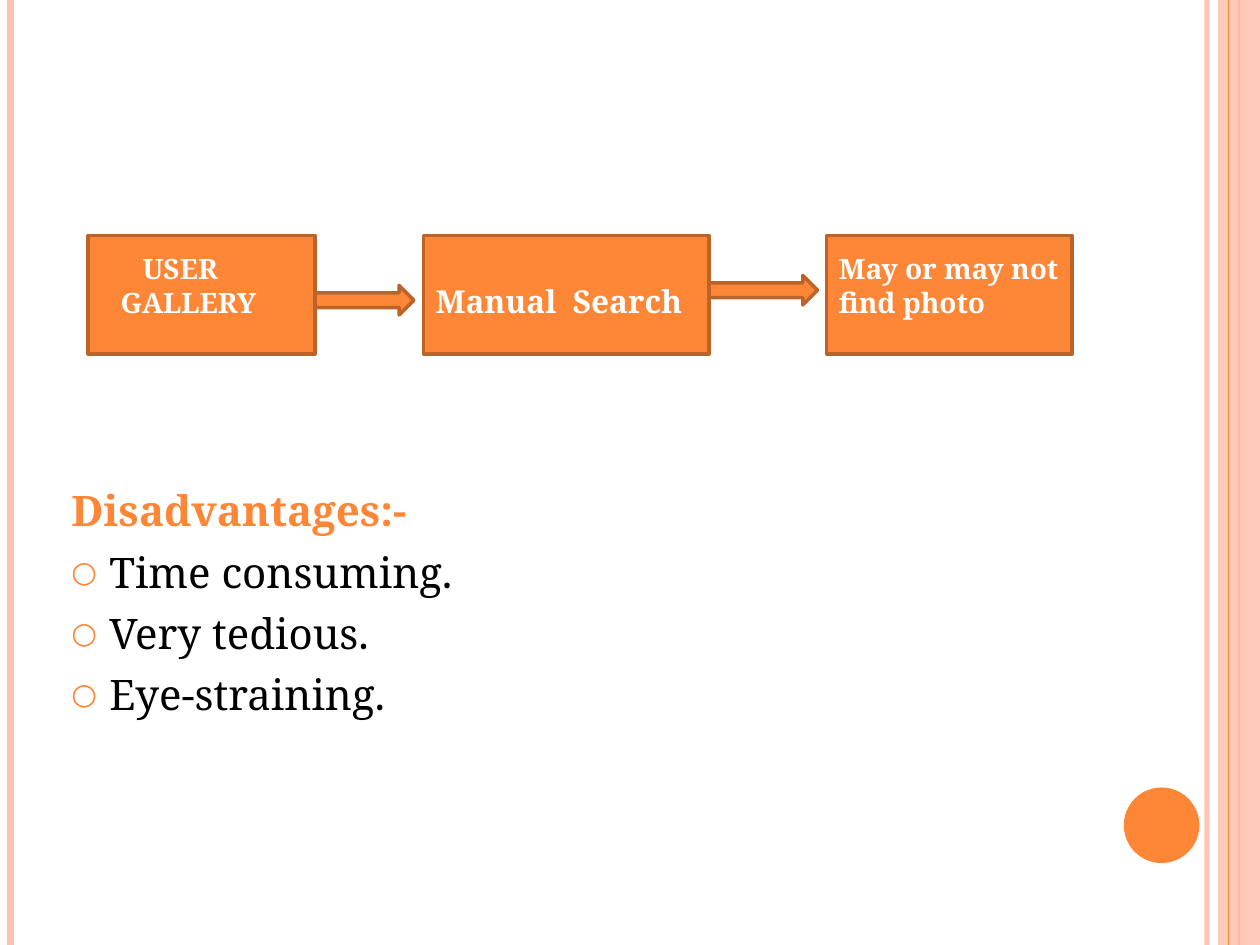
"""Builds a slide showing a manual photo search flow and its disadvantages."""
from lxml.etree import SubElement
from pptx import Presentation
from pptx.dml.color import RGBColor
from pptx.enum.shapes import MSO_CONNECTOR, MSO_SHAPE as SHAPE
from pptx.oxml.ns import qn
from pptx.util import Pt

COLORS = {"orange": "FE8637", "outline": "BC6329", "peach": "FEC3AE",
          "white": "FFFFFF", "black": "000000"}
FONT = "Noto Serif"


def rgb(name):
    return RGBColor.from_string(COLORS[name])


def set_opacity(properties, percent):
    color = next(properties.iter(qn("a:srgbClr")))
    SubElement(color, qn("a:alpha"), val=str(percent * 1000))


def add_stripe(slide, x, width, color, opacity=100):
    line = slide.shapes.add_connector(MSO_CONNECTOR.STRAIGHT, Pt(x), Pt(0), Pt(x), Pt(540))
    line.line.color.rgb = rgb(color)
    line.line.width = Pt(width)
    properties = line._element.spPr
    if opacity < 100:
        set_opacity(properties, opacity)
    SubElement(properties, qn("a:effectLst"))


def add_block(slide, kind, box, fill="orange", outline=None):
    shape = slide.shapes.add_shape(kind, *map(Pt, box))
    shape.shadow.inherit = False
    shape.fill.solid()
    shape.fill.fore_color.rgb = rgb(fill)
    if outline:
        shape.line.color.rgb = rgb(outline)
        shape.line.width = Pt(2)
    else:
        shape.line.fill.background()
    return shape


def add_text(slide, box, text):
    text_frame = slide.shapes.add_textbox(*map(Pt, box)).text_frame
    text_frame.word_wrap = True
    text_frame.text = text
    return text_frame


def format_runs(paragraph, size, color, bold):
    for run in paragraph.runs:
        run.font.name = FONT
        run.font.size = Pt(size)
        run.font.bold = bold
        run.font.color.rgb = rgb(color)


def set_indent(paragraph, margin, first_line):
    properties = paragraph._p.get_or_add_pPr()
    properties.set("marL", str(Pt(margin)))
    properties.set("indent", str(Pt(first_line)))
    return properties


def add_bullet(paragraph):
    properties = set_indent(paragraph, 21.6, -21.6)
    color = SubElement(properties, qn("a:buClr"))
    SubElement(color, qn("a:srgbClr"), val=COLORS["orange"])
    SubElement(properties, qn("a:buSzPct"), val="70000")
    SubElement(properties, qn("a:buFont"), typeface=FONT)
    SubElement(properties, qn("a:buChar"), char="○")


def add_frame(slide):
    add_stripe(slide, 689.8, 3, "peach", 93)
    add_stripe(slide, 6, 4.5, "peach")
    add_stripe(slide, 708, 1.5, "orange")
    band = add_block(slide, SHAPE.RECTANGLE, (696, 0, 24, 540), "peach")
    set_opacity(band._element.spPr, 87)
    add_stripe(slide, 702, 0.75, "orange")
    add_block(slide, SHAPE.OVAL, (642.2, 450, 43.2, 43.2))


def add_step(slide, left, width, text, text_box, size, first_line=0):
    add_block(slide, SHAPE.RECTANGLE, (left, 134.6, width, 67.7), outline="outline")
    paragraph = add_text(slide, text_box, text).paragraphs[0]
    format_runs(paragraph, size, "white", True)
    set_indent(paragraph, 0, first_line)


def add_disadvantages(slide, heading, items):
    text_frame = add_text(slide, (33.8, 277, 588.2, 145), "\n".join([heading, *items]))
    text_frame.margin_top = 0
    for index, paragraph in enumerate(text_frame.paragraphs):
        paragraph.line_spacing = Pt(28.9)
        paragraph.space_after = Pt(6)
        format_runs(paragraph, 24, "black" if index else "orange", index == 0)
        if index:
            add_bullet(paragraph)


def main():
    presentation = Presentation()
    presentation.slide_width, presentation.slide_height = Pt(720), Pt(540)
    slide = presentation.slides.add_slide(presentation.slide_layouts[6])
    add_frame(slide)
    add_disadvantages(slide, "Disadvantages:-",
                      ["Time consuming.", "Very tedious.", "Eye-straining."])
    add_step(slide, 50.4, 129.6, "USER GALLERY", (61.9, 140.4, 106.6, 46), 16, 12.5)
    add_step(slide, 241.9, 163.4, "Manual  Search", (241.9, 157.7, 163.4, 29), 18)
    add_step(slide, 472.3, 140.4, "May or may not find photo", (472.3, 140.4, 140.4, 46), 16)
    for arrow in ((180, 163.1, 56.5, 16.9), (405.3, 157.4, 61.9, 16.9)):
        add_block(slide, SHAPE.RIGHT_ARROW, arrow, outline="outline")
    presentation.save("out.pptx")


main()
